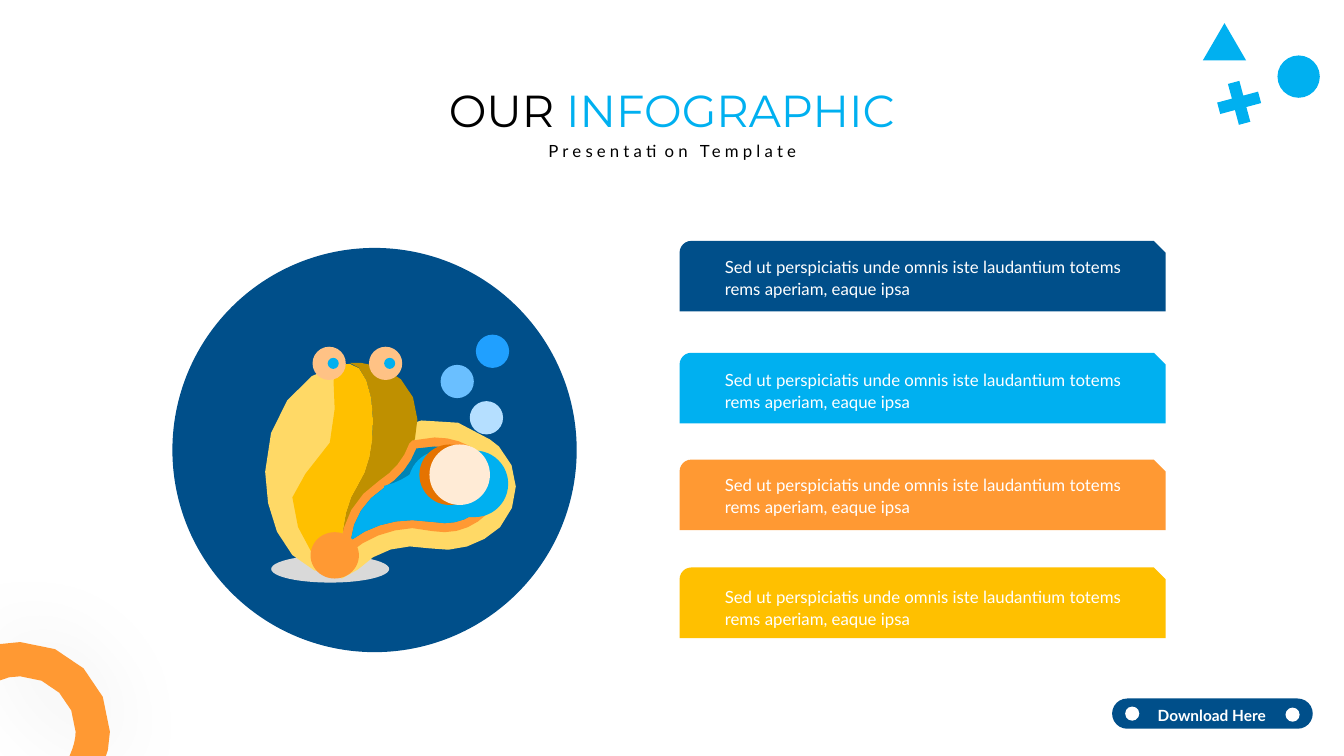
"""Build the infographic slide with an oyster drawing and four coloured bars."""
from lxml import etree
from pptx import Presentation
from pptx.dml.color import RGBColor
from pptx.enum.shapes import MSO_SHAPE as Shape
from pptx.enum.text import MSO_ANCHOR as Anchor, MSO_AUTO_SIZE as AutoSize, PP_ALIGN as Align
from pptx.oxml.ns import qn
from pptx.util import Emu, Pt

COLUMNS, ROWS = 13.33, 7.5
CELL = 914400
CURVE_STEPS = 4

NAVY, SKY, ORANGE, GOLD = "004F8A", "00B0F0", "FF9933", "FFC000"
CREAM, PEACH, WHITE, BLACK = "FFD966", "FFC285", "FFFFFF", "000000"

BAR_TEXT = "Sed ut perspiciatis unde omnis iste laudantium totems rems aperiam, eaque ipsa"
BARS = [(2.39, 2.48, NAVY), (3.5, 3.6, SKY), (4.56, 4.64, ORANGE), (5.63, 5.75, GOLD)]

LOWER_SHELL = (
    "4.95 4.43; 4.86 4.36; 4.49 4.04 3.88 4.12 3.48 4.53; 3.18 4.83 3 5.24 3.14 5.58;"
    "3.39 5.74; 3.55 5.65; 3.73 5.46 4 5.38 4.26 5.44; 4.51 5.49 4.77 5.41 4.96 5.23;"
    "5.17 5 5.17 4.65 4.95 4.43")
SHELL_SHADE = (
    "3.7 4.17; 3.7 4.43 3.65 4.67 3.55 4.81; 3.45 4.95 3.39 5.19 3.39 5.45; 3.37 5.63;"
    "3.43 5.45; 3.43 5.19 3.57 4.94 3.79 4.8; 4.01 4.67 4.14 4.42 4.14 4.16;"
    "4.14 3.85 3.89 3.6 3.58 3.6; 3.47 3.6; 3.6 3.61 3.7 3.86 3.7 4.17")
SHELL_LIGHT = (
    "3.32 4.68; 3.86 4.24 3.21 3.69 3.4 3.6; 2.96 3.69 2.63 4.14 2.63 4.68;"
    "2.63 5.1 2.78 5.52 3.12 5.66; 3.29 5.68; 3.13 5.52 3.32 5.1 3.32 4.68")
SHELL_MIDDLE = (
    "3.37 3.62; 3.18 3.71 3.54 4.34 3.03 4.7; 2.69 4.94 3.1 5.54 3.25 5.69; 3.37 5.63;"
    "3.39 5.45; 3.39 5.19 3.45 4.95 3.55 4.81; 3.65 4.67 3.7 4.43 3.7 4.17;"
    "3.7 3.86 3.6 3.61 3.47 3.61")
MOUTH_RIM = (
    "4.83 4.56; 4.98 4.7 4.98 4.96 4.83 5.1; 4.72 5.21 4.57 5.28 4.41 5.28; 4.29 5.27;"
    "4.09 5.24; 3.86 5.25 3.63 5.34 3.46 5.49; 3.41 5.5; 3.38 5.45;"
    "3.38 5.17 3.53 4.92 3.76 4.77; 3.9 4.68 4.01 4.55 4.06 4.4; 4.09 4.37;"
    "4.31 4.34; 4.48 4.34 4.63 4.39 4.75 4.49")
MOUTH_BOTTOM = (
    "3.48 5.36; 3.65 5.23 3.87 5.16 4.09 5.16; 4.31 5.18; 4.41 5.19;"
    "4.55 5.19 4.67 5.14 4.77 5.04; 4.82 4.98 4.85 4.91 4.85 4.83;")
MOUTH_LEFT = "3.81 4.84; 3.62 4.96 3.5 5.15 3.48 5.36"
MOUTH_SHADE = (
    MOUTH_BOTTOM + "4.85 4.75 4.82 4.68 4.76 4.62; 4.7 4.56; 4.59 4.47 4.46 4.43 4.31 4.43;"
    "4.13 4.45; 4.07 4.61 3.96 4.75 3.81 4.84;" + MOUTH_LEFT)
MOUTH_FLOOR = (
    MOUTH_BOTTOM + "4.72 4.72; 4.61 4.68 4.47 4.67 4.31 4.67; 4.1 4.68;"
    "4.04 4.73 3.94 4.79 3.81 4.82;" + MOUTH_LEFT)
CORNER_RING = (
    "0.2 6.37; 0.69 6.37 1.09 6.77 1.09 7.26; 1.07 7.44; 1.05 7.5; 0.69 7.5;"
    "0.73 7.41 0.75 7.33 0.75 7.26; 0.75 6.96 0.5 6.71 0.2 6.71; 0.09 6.72; 0 6.75; 0 6.39")

OYSTER = [(LOWER_SHELL, CREAM), (SHELL_SHADE, "BF9000"), (SHELL_LIGHT, CREAM),
          (SHELL_MIDDLE, GOLD), (MOUTH_RIM, ORANGE), (MOUTH_SHADE, "0084B4"),
          (MOUTH_FLOOR, SKY)]
EYES = [(3.1, 3.44, 0.33, PEACH), (3.66, 3.44, 0.33, PEACH),
        (3.25, 3.55, 0.11, SKY), (3.81, 3.55, 0.11, SKY)]
PEARL_AND_BUBBLES = [(4.16, 4.41, 0.6, "E57300"), (4.26, 4.41, 0.6, "FFEBD6"),
                     (4.66, 3.98, 0.33, "B5DFFF"), (4.37, 3.62, 0.33, "6ABFFF"),
                     (4.72, 3.32, 0.33, "20A0FF")]
BUTTON_DOTS = [(11.16, 7.01, 0.14, WHITE), (12.75, 7.02, 0.14, WHITE)]


def cells(*counts):
    return [Emu(round(count * CELL)) for count in counts]


def paint(shape, color):
    shape.shadow.inherit = False
    shape.fill.solid()
    shape.fill.fore_color.rgb = RGBColor.from_string(color)
    shape.line.fill.background()
    return shape


def add_preset(page, kind, area, color):
    return paint(page.shapes.add_shape(kind, *cells(*area)), color)


def add_pill(page, area, color):
    add_preset(page, Shape.ROUNDED_RECTANGLE, area, color).adjustments[0] = 0.5


def add_discs(page, discs):
    for left, top, size, color in discs:
        add_preset(page, Shape.OVAL, (left, top, size, size), color)


def trace(outline):
    """Turn points and cubic curves, split by semicolons, into vertices."""
    vertices = []
    for segment in outline.split(";"):
        numbers = [float(number) for number in segment.split()]
        points = list(zip(numbers[::2], numbers[1::2]))
        if len(points) == 1:
            vertices += points
            continue
        controls = [vertices[-1]] + points
        for step in range(1, CURVE_STEPS + 1):
            t = step / CURVE_STEPS
            weights = ((1 - t) ** 3, 3 * t * (1 - t) ** 2, 3 * t * t * (1 - t), t ** 3)
            vertices.append(tuple(sum(w * point[axis] for w, point in zip(weights, controls))
                                  for axis in (0, 1)))
    return [cells(*vertex) for vertex in vertices]


def add_outline(page, outline, color):
    start, *others = trace(outline)
    builder = page.shapes.build_freeform(*start, scale=1.0)
    builder.add_line_segments(others)
    return paint(builder.convert_to_shape(), color)


def add_glow(shape):
    effects = shape._element.spPr.find(qn("a:effectLst"))
    shadow = etree.SubElement(effects, qn("a:outerShdw"), blurRad=str(Pt(65)),
                              algn="ctr", rotWithShape="0")
    tint = etree.SubElement(shadow, qn("a:srgbClr"), val=BLACK)
    etree.SubElement(tint, qn("a:alpha"), val="7000")


def write(box, area, parts, size, face="Lato", align=Align.CENTER, spacing=1.2, bold=False):
    box.left, box.top, box.width, box.height = cells(*area)
    frame = box.text_frame
    frame.word_wrap = True
    frame.auto_size = AutoSize.NONE
    frame.vertical_anchor = Anchor.TOP
    para = frame.paragraphs[0]
    para.alignment, para.line_spacing, para.space_before = align, spacing, Pt(0)
    for text, color in parts:
        span = para.add_run()
        span.text = text
        span.font.name, span.font.size, span.font.bold = face, Pt(size), bold
        span.font.color.rgb = RGBColor.from_string(color)
    return para


def add_text(page, area, *args, **style):
    return write(page.shapes.add_textbox(*cells(*area)), area, *args, **style)


def draw_oyster(page):
    add_preset(page, Shape.OVAL, (1.71, 2.46, 4.01, 4.01), NAVY)
    add_preset(page, Shape.OVAL, (2.69, 5.51, 1.17, 0.27), "D9D9D9")
    for outline, color in OYSTER:
        add_outline(page, outline, color)
    add_preset(page, Shape.OVAL, (3.08, 5.28, 0.48, 0.46), ORANGE)
    add_discs(page, EYES)
    add_pill(page, (4.05, 4.47, 0.99, 0.66), SKY)
    add_discs(page, PEARL_AND_BUBBLES)


def draw_ornaments(page):
    add_discs(page, [(12.67, 0.55, 0.42, SKY)])
    add_preset(page, Shape.ISOSCELES_TRIANGLE, (11.93, 0.23, 0.43, 0.37), SKY)
    plus = add_preset(page, Shape.CROSS, (12.08, 0.81, 0.42, 0.42), SKY)
    plus.adjustments[0] = 0.36
    plus.rotation = 345
    add_glow(add_outline(page, CORNER_RING, ORANGE))


def main():
    deck = Presentation()
    deck.slide_width, deck.slide_height = cells(COLUMNS, ROWS)
    page = deck.slides.add_slide(deck.slide_layouts[0])
    write(page.shapes.title, (3.78, 0.77, 5.77, 0.64),
          [("OUR ", BLACK), ("INFOGRAPHIC", SKY)], 32, face="Montserrat", spacing=1.0)
    subtitle = write(page.placeholders[1], (5.03, 1.31, 3.28, 0.32),
                     [("Presentation Template", BLACK)], 12)
    subtitle.runs[0].font._element.set("spc", "300")
    draw_oyster(page)
    for bar_top, text_top, color in BARS:
        add_preset(page, Shape.SNIP_ROUND_RECTANGLE, (6.74, bar_top, 4.82, 0.7), color)
        add_text(page, (7.09, text_top, 4.28, 0.53), [(BAR_TEXT, WHITE)], 12,
                 align=Align.LEFT, spacing=1.1)
    draw_ornaments(page)
    add_pill(page, (11.03, 6.93, 1.99, 0.3), NAVY)
    add_discs(page, BUTTON_DOTS)
    add_text(page, (11.3, 6.92, 1.44, 0.3), [("Download Here", WHITE)], 11, bold=True)
    deck.save("out.pptx")


if __name__ == "__main__":
    main()
